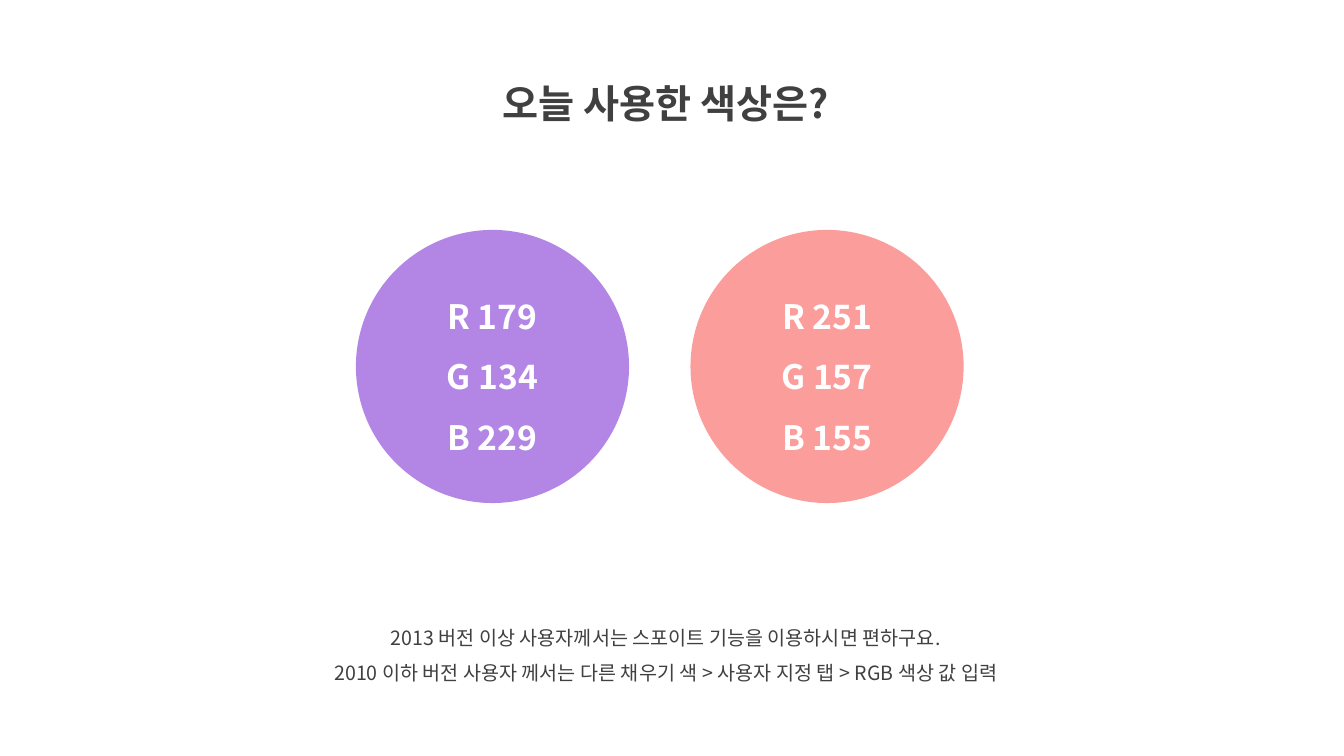
from lxml.etree import SubElement
from pptx import Presentation
from pptx.dml.color import RGBColor
from pptx.enum.shapes import MSO_SHAPE
from pptx.enum.text import MSO_ANCHOR, MSO_AUTO_SIZE, PP_ALIGN
from pptx.oxml.ns import qn
from pptx.util import Pt

FONT = "Noto Sans CJK KR"
DARK = RGBColor(64, 64, 64)
WHITE = RGBColor(255, 255, 255)
PURPLE = RGBColor(179, 134, 229)
CORAL = RGBColor(251, 157, 155)

TITLE = "오늘 사용한 색상은?"
TIPS = [
    "2013 버전 이상 사용자께서는 스포이트 기능을 이용하시면 편하구요.",
    "2010 이하 버전 사용자 께서는 다른 채우기 색 > 사용자 지정 탭 > RGB 색상 값 입력",
]

CIRCLE_LEFT, CIRCLE_TOP = 254.2, 164.2
CIRCLE_SIZE, CIRCLE_STEP = 195.1, 239


def write_lines(frame, lines, size, color, bold=False, anchor=MSO_ANCHOR.TOP):
    frame.word_wrap = True
    frame.vertical_anchor = anchor
    frame.text = "\n".join(lines)
    for paragraph in frame.paragraphs:
        paragraph.alignment = PP_ALIGN.CENTER
        paragraph.line_spacing = 1.5
        paragraph.font.size = Pt(size)
        paragraph.font.bold = bold
        paragraph.font.color.rgb = color
        paragraph.font.name = FONT
        defaults = paragraph._p.pPr.find(qn("a:defRPr"))
        SubElement(defaults, qn("a:ea")).set("typeface", FONT)


def place_title(slide):
    title = slide.shapes.title
    title.left, title.top = Pt(308.9), Pt(36)
    title.width, title.height = Pt(333.4), Pt(51.8)
    write_lines(title.text_frame, [TITLE], 28, DARK, bold=True)
    title.text_frame.auto_size = MSO_AUTO_SIZE.SHAPE_TO_FIT_TEXT


def add_tips(slide):
    tips = slide.shapes.add_textbox(Pt(187.9), Pt(434.9), Pt(575.3), Pt(58.3))
    write_lines(tips.text_frame, TIPS, 14, DARK)
    tips.text_frame.auto_size = MSO_AUTO_SIZE.SHAPE_TO_FIT_TEXT


def add_swatch(slide, left, color):
    swatch = slide.shapes.add_shape(
        MSO_SHAPE.OVAL, Pt(left), Pt(CIRCLE_TOP), Pt(CIRCLE_SIZE), Pt(CIRCLE_SIZE))
    swatch.shadow.inherit = False
    swatch.fill.solid()
    swatch.fill.fore_color.rgb = color
    swatch.line.fill.background()
    channels = [f"{letter} {value}" for letter, value in zip("RGB", color)]
    write_lines(swatch.text_frame, channels, 24, WHITE, True, MSO_ANCHOR.MIDDLE)


def main():
    deck = Presentation()
    deck.slide_width, deck.slide_height = Pt(960), Pt(540)
    slide = deck.slides.add_slide(deck.slide_layouts.get_by_name("Title Only"))
    place_title(slide)
    add_tips(slide)
    for index, color in enumerate([PURPLE, CORAL]):
        add_swatch(slide, CIRCLE_LEFT + index * CIRCLE_STEP, color)
    deck.save("out.pptx")


main()
